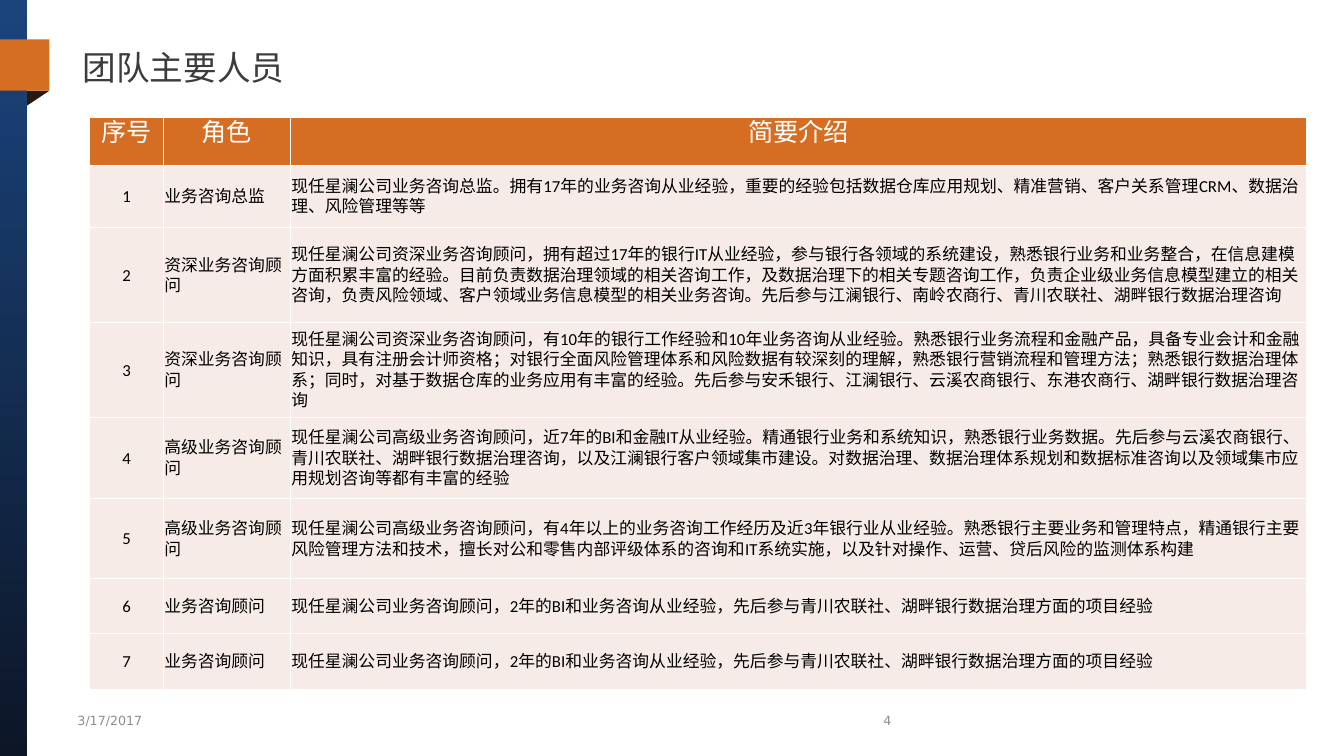
"""Build the slide that introduces the main members of the consulting team."""
from dataclasses import dataclass
from typing import Any, Optional

from lxml.etree import SubElement
from pptx import Presentation
from pptx.dml.color import RGBColor
from pptx.enum.shapes import MSO_SHAPE as Preset
from pptx.enum.text import MSO_ANCHOR as Anchor, PP_ALIGN as Align
from pptx.oxml.ns import qn
from pptx.util import Inches, Pt

ORANGE = RGBColor(0xD5, 0x6D, 0x23)
FOLD_BROWN = RGBColor(0x28, 0x1A, 0x0F)
NAVY = RGBColor(0x0C, 0x16, 0x27)
BLUE = RGBColor(0x1B, 0x44, 0x7D)
CHARCOAL = RGBColor(0x3C, 0x3C, 0x3B)
GRAY = RGBColor(0x8D, 0x8D, 0x8D)
PALE_PINK = RGBColor(0xF7, 0xEB, 0xE8)
WHITE = RGBColor(0xFF, 0xFF, 0xFF)
BLACK = RGBColor(0, 0, 0)

COLUMN_WIDTHS = (0.73, 1.26, 10.08)
ROW_HEIGHTS = (0.48, 0.62, 0.94, 0.94, 0.81, 0.79, 0.55, 0.55)
HEADINGS = ("序号", "角色", "简要介绍")
CELL_FORMAT = {
    "margin_left": Inches(0.01),
    "margin_top": Inches(0.01),
    "margin_right": Inches(0.01),
    "margin_bottom": 0,
}


@dataclass(frozen=True)
class TextStyle:
    name: str
    size: int
    color: RGBColor


@dataclass(frozen=True)
class Decoration:
    preset: Preset
    box: tuple[float, float, float, float]
    fill: Optional[RGBColor] = None
    flipped: bool = False


@dataclass(frozen=True)
class Label:
    text: str
    box: tuple[float, float, float, float]
    style: TextStyle
    alignment: Align = Align.LEFT
    margin_left: float = 0.1


@dataclass(frozen=True)
class Member:
    role: str
    profile: str


TITLE_STYLE = TextStyle("Noto Sans CJK SC", 24, CHARCOAL)
FOOTER_STYLE = TextStyle("DejaVu Sans", 9, GRAY)
HEADING_STYLE = TextStyle("DejaVu Sans", 18, WHITE)
BODY_STYLE = TextStyle("Calibri", 12, BLACK)

DECORATIONS = (
    Decoration(Preset.RIGHT_TRIANGLE, (0.22, 0.9, 0.27, 0.18), FOLD_BROWN, True),
    Decoration(Preset.RECTANGLE, (0, 0, 0.27, 7.5)),
    Decoration(Preset.RECTANGLE, (0, 0.39, 0.49, 0.51), ORANGE),
)
LABELS = (
    Label("团队主要人员", (0.67, 0.43, 12, 0.47), TITLE_STYLE, margin_left=0.15),
    Label("3/17/2017", (0.67, 6.95, 1.55, 0.4), FOOTER_STYLE),
    Label("4", (6.94, 6.95, 2, 0.4), FOOTER_STYLE, Align.RIGHT),
)
JUNIOR = Member(
    "业务咨询顾问",
    "现任星澜公司业务咨询顾问，2年的BI和业务咨询从业经验，先后参与青川农联社、湖畔银行数据治理方面的项目经验",
)
MEMBERS = (
    Member(
        "业务咨询总监",
        "现任星澜公司业务咨询总监。拥有17年的业务咨询从业经验，重要的经验包括数据仓库应用规划、精准营销、"
        "客户关系管理CRM、数据治理、风险管理等等",
    ),
    Member(
        "资深业务咨询顾问",
        "现任星澜公司资深业务咨询顾问，拥有超过17年的银行IT从业经验，参与银行各领域的系统建设，"
        "熟悉银行业务和业务整合，在信息建模方面积累丰富的经验。目前负责数据治理领域的相关咨询工作，"
        "及数据治理下的相关专题咨询工作，负责企业级业务信息模型建立的相关咨询，"
        "负责风险领域、客户领域业务信息模型的相关业务咨询。"
        "先后参与江澜银行、南岭农商行、青川农联社、湖畔银行数据治理咨询",
    ),
    Member(
        "资深业务咨询顾问",
        "现任星澜公司资深业务咨询顾问，有10年的银行工作经验和10年业务咨询从业经验。"
        "熟悉银行业务流程和金融产品，具备专业会计和金融知识，具有注册会计师资格；"
        "对银行全面风险管理体系和风险数据有较深刻的理解，熟悉银行营销流程和管理方法；"
        "熟悉银行数据治理体系；同时，对基于数据仓库的业务应用有丰富的经验。"
        "先后参与安禾银行、江澜银行、云溪农商银行、东港农商行、湖畔银行数据治理咨询",
    ),
    Member(
        "高级业务咨询顾问",
        "现任星澜公司高级业务咨询顾问，近7年的BI和金融IT从业经验。精通银行业务和系统知识，熟悉银行业务数据。"
        "先后参与云溪农商银行、青川农联社、湖畔银行数据治理咨询，以及江澜银行客户领域集市建设。"
        "对数据治理、数据治理体系规划和数据标准咨询以及领域集市应用规划咨询等都有丰富的经验",
    ),
    Member(
        "高级业务咨询顾问",
        "现任星澜公司高级业务咨询顾问，有4年以上的业务咨询工作经历及近3年银行业从业经验。"
        "熟悉银行主要业务和管理特点，精通银行主要风险管理方法和技术，"
        "擅长对公和零售内部评级体系的咨询和IT系统实施，以及针对操作、运营、贷后风险的监测体系构建",
    ),
    JUNIOR,
    JUNIOR,
)


def apply_format(target: Any, values: dict[str, Any]) -> None:
    for name, value in values.items():
        setattr(target, name, value)


def write_text(paragraph: Any, text: str, style: TextStyle, alignment: Align) -> None:
    paragraph.alignment = alignment
    run = paragraph.add_run()
    run.text = text
    apply_format(run.font, {"name": style.name, "size": Pt(style.size), "bold": False})
    run.font.color.rgb = style.color
    SubElement(run.font._element, qn("a:ea"), typeface=style.name)


def draw_decoration(slide: Any, decoration: Decoration) -> None:
    shape = slide.shapes.add_shape(decoration.preset, *map(Inches, decoration.box))
    shape.shadow.inherit = False
    shape.line.fill.background()
    if decoration.fill is not None:
        shape.fill.solid()
        shape.fill.fore_color.rgb = decoration.fill
    else:
        shape.fill.gradient()
        shape.fill.gradient_angle = 90
        for stop, color in zip(shape.fill.gradient_stops, (NAVY, BLUE)):
            stop.color.rgb = color
    if decoration.flipped:
        shape._element.spPr.xfrm.set("flipV", "1")


def draw_label(slide: Any, label: Label) -> None:
    frame = slide.shapes.add_textbox(*map(Inches, label.box)).text_frame
    apply_format(frame, {
        "word_wrap": True,
        "vertical_anchor": Anchor.MIDDLE,
        "margin_left": Inches(label.margin_left),
        "margin_top": 0,
        "margin_bottom": 0,
    })
    write_text(frame.paragraphs[0], label.text, label.style, label.alignment)


def add_borders(cell: Any) -> None:
    properties = cell._tc.get_or_add_tcPr()
    for position, side in enumerate(("lnL", "lnR", "lnT", "lnB")):
        line = SubElement(properties, qn(f"a:{side}"), w=str(Pt(1)))
        fill = SubElement(line, qn("a:solidFill"))
        SubElement(fill, qn("a:srgbClr"), val=str(WHITE))
        properties.insert(position, line)


def draw_team_table(slide: Any) -> None:
    rows = [HEADINGS] + [
        (str(number), member.role, member.profile)
        for number, member in enumerate(MEMBERS, 1)
    ]
    table = slide.shapes.add_table(
        len(rows), len(HEADINGS), Inches(0.89), Inches(1.16),
        Inches(sum(COLUMN_WIDTHS)), Inches(sum(ROW_HEIGHTS)),
    ).table
    apply_format(table, {"first_row": False, "horz_banding": False})
    for column, width in zip(table.columns, COLUMN_WIDTHS):
        column.width = Inches(width)
    for row_index, (row, height, texts) in enumerate(zip(table.rows, ROW_HEIGHTS, rows)):
        row.height = Inches(height)
        heading = row_index == 0
        for column_index, (cell, text) in enumerate(zip(row.cells, texts)):
            apply_format(cell, CELL_FORMAT)
            cell.vertical_anchor = Anchor.TOP if heading else Anchor.MIDDLE
            cell.fill.solid()
            cell.fill.fore_color.rgb = ORANGE if heading else PALE_PINK
            add_borders(cell)
            alignment = Align.CENTER if heading or column_index == 0 else Align.LEFT
            style = HEADING_STYLE if heading else BODY_STYLE
            write_text(cell.text_frame.paragraphs[0], text, style, alignment)


def main() -> None:
    presentation = Presentation()
    apply_format(presentation, {"slide_width": Inches(13.33), "slide_height": Inches(7.5)})
    slide = presentation.slides.add_slide(presentation.slide_layouts[6])
    for decoration in DECORATIONS:
        draw_decoration(slide, decoration)
    for label in LABELS:
        draw_label(slide, label)
    draw_team_table(slide)
    presentation.save("out.pptx")


if __name__ == "__main__":
    main()
